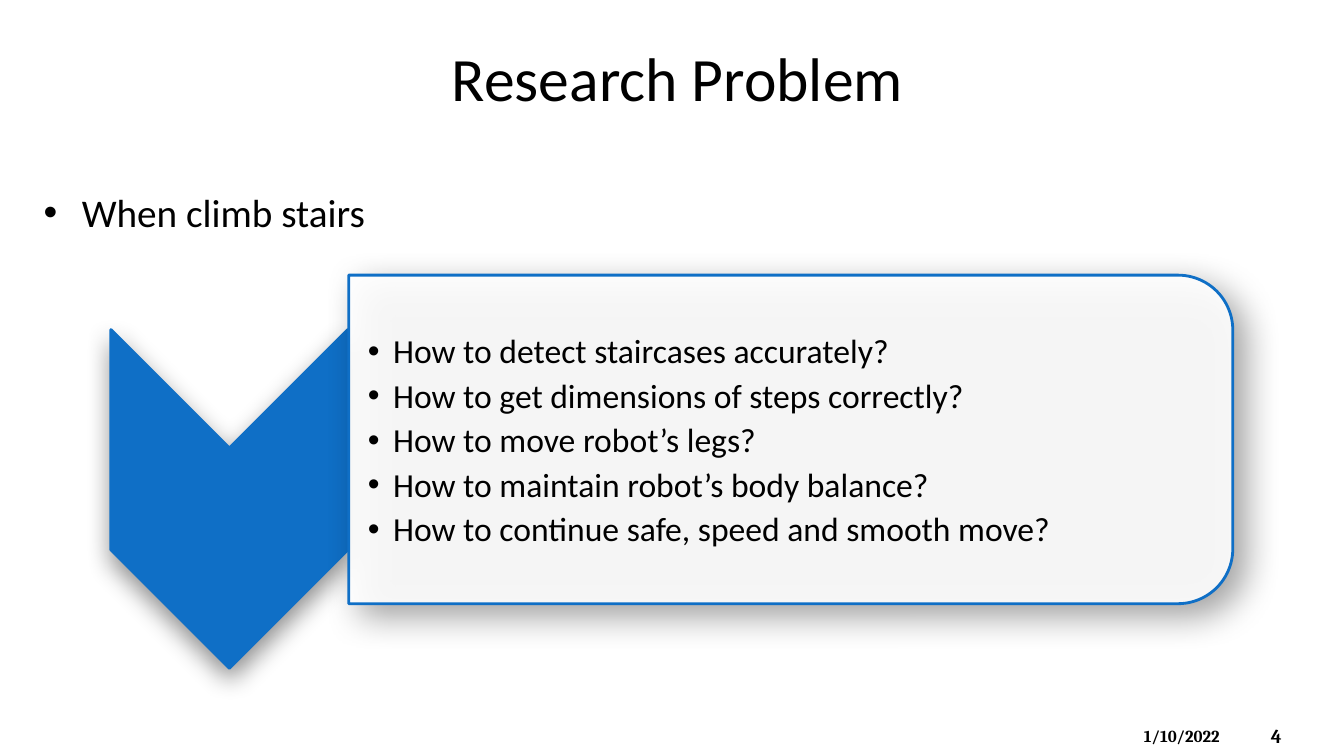
from lxml import etree
from pptx import Presentation
from pptx.dml.color import RGBColor
from pptx.enum.shapes import MSO_SHAPE
from pptx.enum.text import MSO_ANCHOR, PP_ALIGN
from pptx.oxml.ns import qn
from pptx.util import Inches, Pt

TOP, MIDDLE = MSO_ANCHOR.TOP, MSO_ANCHOR.MIDDLE
LEFT, CENTER, JUSTIFY = PP_ALIGN.LEFT, PP_ALIGN.CENTER, PP_ALIGN.JUSTIFY
CHEVRON, ROUNDED_PANEL = MSO_SHAPE.CHEVRON, MSO_SHAPE.ROUND_2_SAME_RECTANGLE

THEME = {
    "text": RGBColor(0x00, 0x00, 0x00),
    "accent": RGBColor(0x0F, 0x6F, 0xC6),
    "panel": RGBColor(0xFF, 0xFF, 0xFF),
    "body_font": "Calibri",
    "footer_font": "Cambria",
    "title_size": 44,
    "lead_size": 28,
    "list_size": 24,
    "number_size": 14,
    "date_size": 12,
}

presentation = Presentation()
presentation.slide_width, presentation.slide_height = Inches(13.33), Inches(7.5)
slide = presentation.slides.add_slide(presentation.slide_layouts[6])

# Grid of 40 columns and 30 rows
COLUMN = presentation.slide_width / 40
ROW = presentation.slide_height / 30


def add_text(lines, left, top, width, height, size, font=THEME["body_font"], bold=False,
             align=LEFT, anchor=TOP, indent=0, space_after=0, insets=(0.1, 0.05, 0.1, 0.05)):
    box = slide.shapes.add_textbox(int(left * COLUMN), int(top * ROW),
                                   int(width * COLUMN), int(height * ROW))
    frame = box.text_frame
    frame.word_wrap = True
    frame.vertical_anchor = anchor
    (frame.margin_left, frame.margin_top,
     frame.margin_right, frame.margin_bottom) = map(Inches, insets)
    for index, line in enumerate(lines):
        paragraph = frame.paragraphs[0] if index == 0 else frame.add_paragraph()
        paragraph.alignment = align
        paragraph.space_after = Pt(space_after)
        if indent:
            properties = paragraph._p.get_or_add_pPr()
            properties.set("marL", str(Inches(indent)))
            properties.set("indent", str(-Inches(indent)))
            etree.SubElement(properties, qn("a:buFont"), typeface="Arial")
            etree.SubElement(properties, qn("a:buChar"), char="•")
        run = paragraph.add_run()
        run.text = line
        run.font.name, run.font.size, run.font.bold = font, Pt(size), bold
        run.font.color.rgb = THEME["text"]


def add_turned_shape(kind, left, top, width, height, fill, opacity, shadow):
    """Place a shape turned by 90 degrees; the position is the one seen after turning."""
    seen_width, seen_height = width * COLUMN, height * ROW
    shift = (seen_width - seen_height) / 2
    shape = slide.shapes.add_shape(kind, int(left * COLUMN + shift), int(top * ROW - shift),
                                   int(seen_height), int(seen_width))
    shape.rotation = 90
    shape.fill.solid()
    shape.fill.fore_color.rgb = fill
    shape.line.color.rgb = THEME["accent"]
    shape.line.width = Pt(2)
    shape.shadow.inherit = False

    properties = shape._element.spPr
    fill_color = properties.find(qn("a:solidFill")).find(qn("a:srgbClr"))
    etree.SubElement(fill_color, qn("a:alpha"), val=str(opacity * 1000))
    strength, blur, distance, direction = shadow
    outer_shadow = etree.SubElement(
        properties.find(qn("a:effectLst")), qn("a:outerShdw"), blurRad=str(Pt(blur)),
        dist=str(Pt(distance)), dir=str(direction * 60000), rotWithShape="0")
    shadow_color = etree.SubElement(outer_shadow, qn("a:srgbClr"), val=str(THEME["text"]))
    etree.SubElement(shadow_color, qn("a:alpha"), val=str(strength * 1000))


# Footer
add_text(["4"], 37.53, 28.4, 2.22, 1.6, THEME["number_size"],
         font=THEME["footer_font"], bold=True, anchor=MIDDLE)
add_text(["1/10/2022"], 33.75, 28.6, 3.51, 1.2, THEME["date_size"],
         font=THEME["footer_font"], bold=True)

# Title and lead line
add_text(["Research Problem"], 1, 1.32, 38.34, 3.48, THEME["title_size"],
         align=CENTER, anchor=MIDDLE)
add_text(["When climb stairs"], 1, 7.28, 38.34, 2.4, THEME["lead_size"],
         align=JUSTIFY, indent=0.38)

# Chevron and panel
add_turned_shape(CHEVRON, 3.3, 13.08, 7.05, 13.44, THEME["accent"], 100, (43, 18, 7, 90))
add_turned_shape(ROUNDED_PANEL, 10.38, 10.92, 26.31, 13.04, THEME["panel"], 90,
                 (40, 25, 12, 42))

# Questions on the panel
questions = [
    "How to detect staircases accurately?",
    "How to get dimensions of steps correctly?",
    "How to move robot’s legs?",
    "How to maintain robot’s body balance?",
    "How to continue safe, speed and smooth move?",
]
add_text(questions, 10.38, 11.56, 25.83, 11.76, THEME["list_size"], anchor=MIDDLE,
         indent=0.25, space_after=3, insets=(0.19, 0.02, 0.02, 0.02))

presentation.save("out.pptx")
